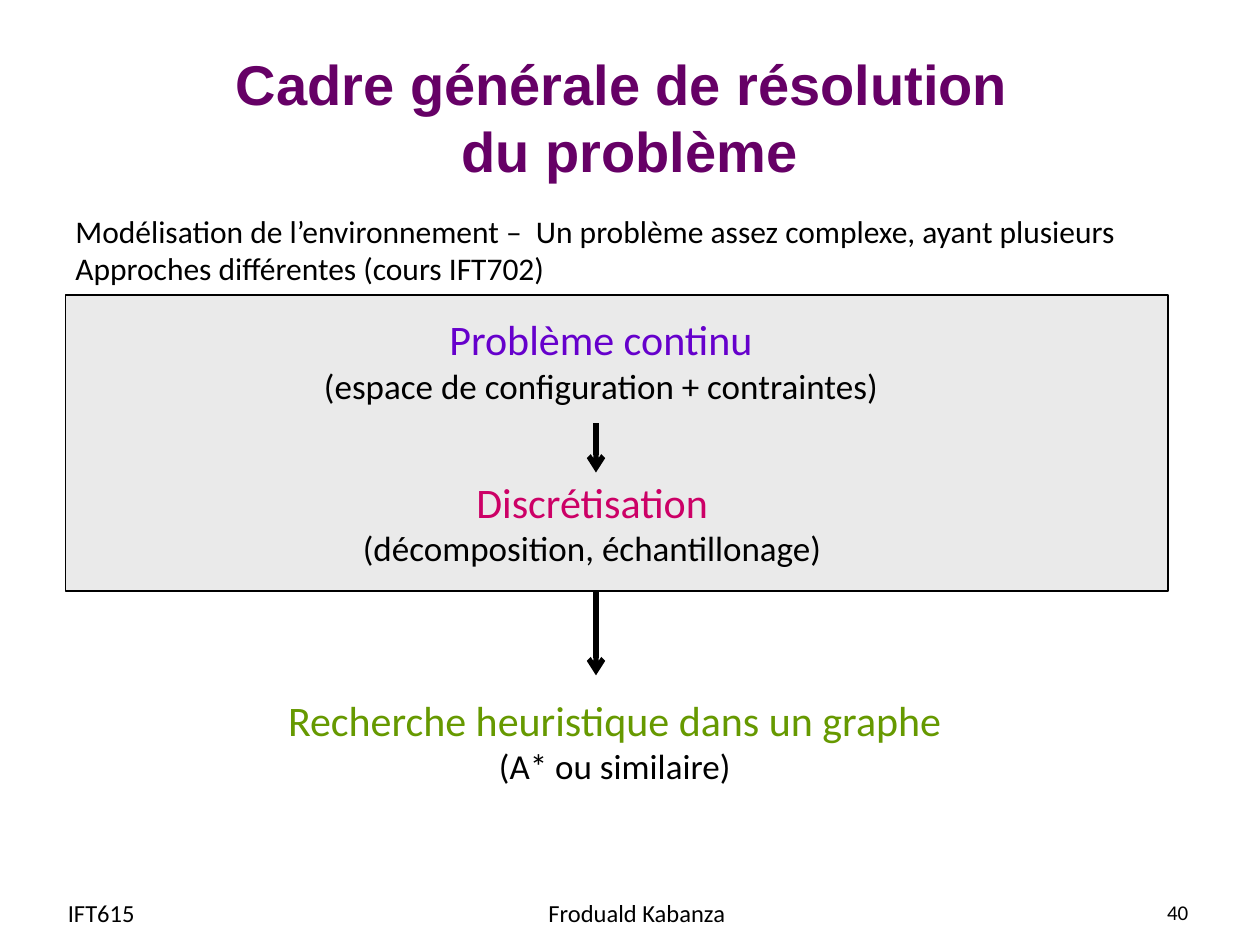
from dataclasses import dataclass

from lxml.etree import SubElement
from pptx import Presentation
from pptx.dml.color import RGBColor
from pptx.enum.shapes import MSO_CONNECTOR, MSO_SHAPE
from pptx.enum.text import MSO_ANCHOR, PP_ALIGN
from pptx.oxml.ns import qn
from pptx.util import Inches, Pt

# Grid of 100 columns by 75 rows; all places are given in its units
COLUMNS, ROWS = 100, 75
WIDTH, HEIGHT = Inches(10), Inches(7.5)

COLORS = {
    "black": "000000",
    "panel": "EAEAEA",
    "title": "660066",
    "continuous": "6600CC",
    "discrete": "CC0066",
    "search": "669900",
}


@dataclass(frozen=True)
class Area:
    column: float
    row: float
    columns: float
    rows: float

    def lengths(self) -> tuple[int, int, int, int]:
        return x(self.column), y(self.row), x(self.columns), y(self.rows)


@dataclass(frozen=True)
class Line:
    text: str
    size: int
    color: str = "black"
    font: str = "Calibri"
    bold: bool = False


@dataclass(frozen=True)
class TextBlock:
    area: Area
    lines: tuple[Line, ...]
    alignment: PP_ALIGN = PP_ALIGN.CENTER
    anchor: MSO_ANCHOR = MSO_ANCHOR.MIDDLE
    wrap: bool = True


@dataclass(frozen=True)
class Arrow:
    column: float
    start_row: float
    end_row: float


def x(columns: float) -> int:
    return round(WIDTH * columns / COLUMNS)


def y(rows: float) -> int:
    return round(HEIGHT * rows / ROWS)


def color(name: str) -> RGBColor:
    return RGBColor.from_string(COLORS[name])


def stage(area: Area, name: str, detail: str, color_name: str) -> TextBlock:
    lines = (Line(name, 24, color_name), Line(detail, 20))
    return TextBlock(area, lines, anchor=MSO_ANCHOR.TOP, wrap=False)


def draw_panel(slide, area: Area) -> None:
    panel = slide.shapes.add_shape(MSO_SHAPE.RECTANGLE, *area.lengths())
    panel.shadow.inherit = False
    panel.fill.solid()
    panel.fill.fore_color.rgb = color("panel")
    panel.line.color.rgb = color("black")
    panel.line.width = Pt(0.75)


def draw_text(slide, block: TextBlock) -> None:
    frame = slide.shapes.add_textbox(*block.area.lengths()).text_frame
    frame.word_wrap = block.wrap
    frame.vertical_anchor = block.anchor
    for index, line in enumerate(block.lines):
        paragraph = frame.add_paragraph() if index else frame.paragraphs[0]
        paragraph.text = line.text
        paragraph.alignment = block.alignment
        paragraph.font.name = line.font
        paragraph.font.size = Pt(line.size)
        paragraph.font.bold = line.bold
        paragraph.font.color.rgb = color(line.color)


def draw_arrow(slide, arrow: Arrow) -> None:
    connector = slide.shapes.add_connector(
        MSO_CONNECTOR.STRAIGHT,
        x(arrow.column), y(arrow.start_row), x(arrow.column), y(arrow.end_row),
    )
    connector.line.color.rgb = color("black")
    connector.line.width = Pt(3)
    SubElement(connector.line._get_or_add_ln(), qn("a:tailEnd"), type="arrow")
    SubElement(connector._element.spPr, qn("a:effectLst"))


PANEL = Area(5.2, 23.4, 87.5, 23.5)

STAGES = (
    stage(Area(24.4, 24.4, 46.6, 8.4), "Problème continu",
          "(espace de configuration + contraintes)", "continuous"),
    stage(Area(27.2, 37.3, 39.6, 8.4), "Discrétisation",
          "(décomposition, échantillonage)", "discrete"),
    stage(Area(21.5, 54.6, 54.6, 8.4), "Recherche heuristique dans un graphe",
          "(A* ou similaire)", "search"),
)

ARROWS = (
    Arrow(47.3, 33.6, 37.5),
    Arrow(47.3, PANEL.row + PANEL.rows, 53.6),
)

FOOTER = (
    TextBlock(Area(4.4, 70.4, 19.3, 4), (Line("IFT615", 14),), PP_ALIGN.LEFT),
    TextBlock(Area(72, 70.4, 23.3, 4), (Line("40", 12),), PP_ALIGN.RIGHT),
    TextBlock(Area(34.7, 70.4, 31.7, 4), (Line("Froduald Kabanza", 14),)),
)

TITLE = TextBlock(
    Area(5, 3, 90, 12.5),
    (Line("Cadre générale de résolution \vdu problème", 32, "title", "Arial", True),),
)

INTRODUCTION = TextBlock(
    Area(5, 16.3, 86.1, 7.1),
    (
        Line("Modélisation de l’environnement –  Un problème assez complexe, ayant plusieurs", 18),
        Line("Approches différentes (cours IFT702)", 18),
    ),
    PP_ALIGN.LEFT, MSO_ANCHOR.TOP, wrap=False,
)


def main() -> None:
    presentation = Presentation()
    presentation.slide_width, presentation.slide_height = WIDTH, HEIGHT
    slide = presentation.slides.add_slide(presentation.slide_layouts[6])

    # Panel behind the modelling stages
    draw_panel(slide, PANEL)

    # Stages and the arrows between them
    for block in STAGES:
        draw_text(slide, block)
    for arrow in ARROWS:
        draw_arrow(slide, arrow)

    # Footer, title and introduction
    for block in (*FOOTER, TITLE, INTRODUCTION):
        draw_text(slide, block)

    presentation.save("out.pptx")


if __name__ == "__main__":
    main()
